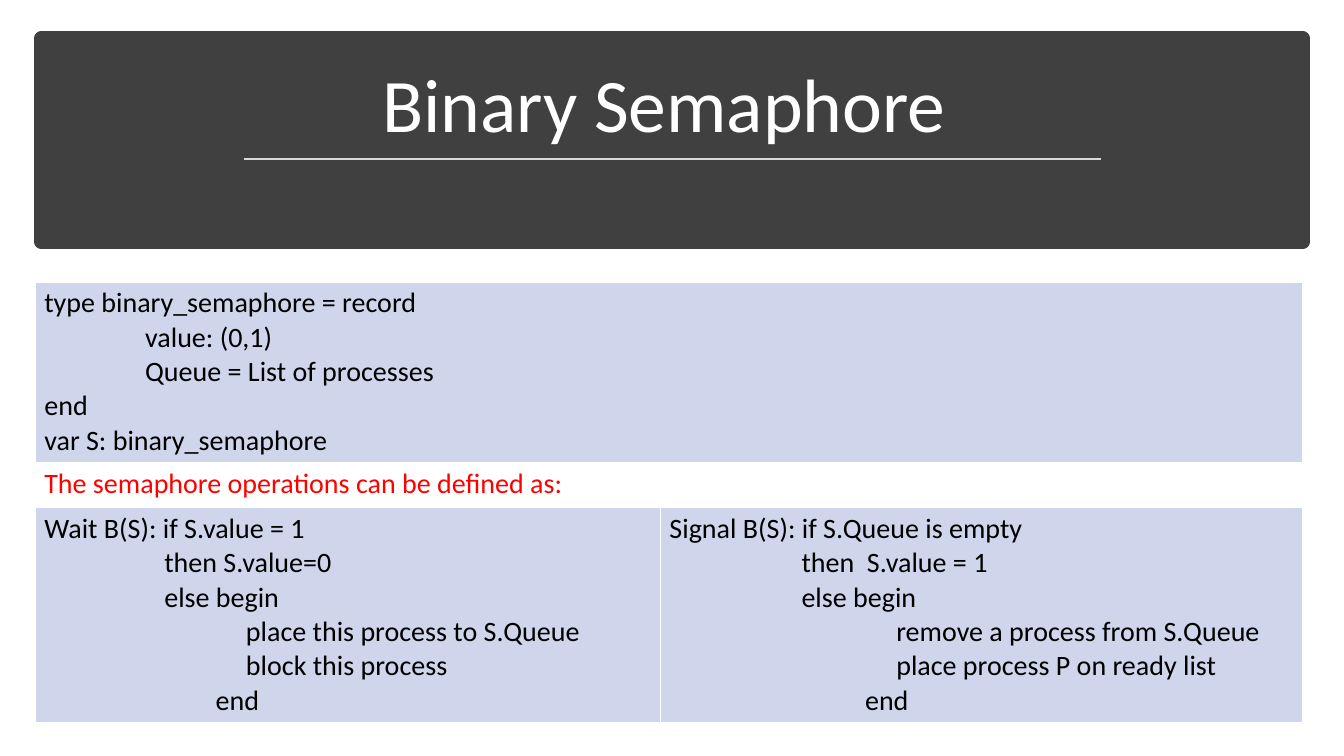
from lxml.etree import SubElement
from pptx import Presentation
from pptx.dml.color import RGBColor
from pptx.enum.shapes import MSO_CONNECTOR, MSO_SHAPE
from pptx.enum.text import MSO_ANCHOR, PP_ALIGN
from pptx.oxml.ns import qn
from pptx.util import Emu, Inches, Pt

COLORS = {"band": "404040", "rule": "D9D9D9", "white": "FFFFFF",
          "code": "CFD5EA", "black": "000000", "red": "FF0000"}
FONT = "Calibri"

RECORD = [(0, "type binary_semaphore = record"),
          (1, "value: (0,1)"),
          (1, "Queue = List of processes"),
          (0, "end"),
          (0, "var S: binary_semaphore")]
INTRO = [(0, "The semaphore operations can be defined as:")]
WAIT = [(0, "Wait B(S): if S.value = 1"),
        (1.19, "then S.value=0"),
        (1.19, "else begin"),
        (2, "place this process to S.Queue"),
        (2, "block this process"),
        (1.7, "end")]
SIGNAL = [(0, "Signal B(S): if S.Queue is empty"),
          (1.31, "then  S.value = 1"),
          (1.31, "else begin"),
          (2.25, "remove a process from S.Queue"),
          (2.25, "place process P on ready list"),
          (1.94, "end")]


def color(name):
    return RGBColor.from_string(COLORS[name])


def add_run(paragraph, text, size, tint):
    run = paragraph.add_run()
    run.text = text
    run.font.name = FONT
    run.font.size = Pt(size)
    run.font.color.rgb = color(tint)


def add_header(slide, left, top, width, height):
    band = slide.shapes.add_shape(MSO_SHAPE.RECTANGLE, Inches(left), Inches(top),
                                  Inches(width), Inches(height))
    band.shadow.inherit = False
    band.fill.solid()
    band.fill.fore_color.rgb = color("band")
    band.line.color.rgb = color("band")
    band.line.width = Pt(10)

    title = slide.shapes.title
    title.element.addprevious(band.element)
    title.left, title.top = Inches(left + 0.17), Inches(top + 0.13)
    title.width, title.height = Inches(width - 0.33), Inches(1.02)
    frame = title.text_frame
    frame.word_wrap = True
    frame.vertical_anchor = MSO_ANCHOR.BOTTOM
    heading = frame.paragraphs[0]
    heading.alignment = PP_ALIGN.CENTER
    heading.line_spacing = 0.9
    add_run(heading, "Binary Semaphore ", 54, "white")

    rule_y = Inches(top + 1.2)
    rule = slide.shapes.add_connector(MSO_CONNECTOR.STRAIGHT, Inches(left + 2.01), rule_y,
                                      Inches(left + width - 2), rule_y)
    rule.line.color.rgb = color("rule")
    rule.line.width = Pt(1.75)
    SubElement(rule.element.spPr, qn("a:effectLst"))


def add_borders(cell, bottom):
    properties = cell._tc.get_or_add_tcPr()
    for side, points in (("L", 1), ("R", 1), ("T", 1), ("B", bottom)):
        border = SubElement(properties, qn(f"a:ln{side}"), w=str(Pt(points)))
        fill = SubElement(border, qn("a:solidFill"))
        SubElement(fill, qn("a:srgbClr"), val=COLORS["white"])


def fill_cell(cell, lines, tint, background, anchor):
    cell.margin_left = cell.margin_right = Inches(0.09)
    cell.margin_top = cell.margin_bottom = Inches(0.04)
    cell.vertical_anchor = anchor
    if background:
        cell.fill.solid()
        cell.fill.fore_color.rgb = color(background)
    else:
        cell.fill.background()
    for number, (indent, text) in enumerate(lines):
        frame = cell.text_frame
        paragraph = frame.add_paragraph() if number else frame.paragraphs[0]
        paragraph._p.get_or_add_pPr().set("marL", str(Inches(indent)))
        add_run(paragraph, text, 20, tint)


def add_definitions(slide, left, top, width, height):
    columns, rows = (6.2, width - 6.2), (0.26, 1.8, 0.44, height - 2.5)
    table = slide.shapes.add_table(len(rows), len(columns), Inches(left), Inches(top),
                                   Inches(width), Inches(height)).table
    table.first_row = table.horz_banding = False
    for column, column_width in zip(table.columns, columns):
        column.width = Inches(column_width)
    for number, (row, row_height) in enumerate(zip(table.rows, rows)):
        row.height = Inches(row_height)
        for cell in row.cells:
            add_borders(cell, 1 if number else 3)
        if number < 3:
            table.cell(number, 0).merge(table.cell(number, 1))

    middle = MSO_ANCHOR.MIDDLE
    fill_cell(table.cell(0, 0), [], "black", "white", MSO_ANCHOR.TOP)
    for spacer in table.rows[0].cells:
        spacer.margin_top = spacer.margin_bottom = Emu(0)
        SubElement(spacer.text_frame.paragraphs[0]._p, qn("a:endParaRPr"), sz="1000")
    fill_cell(table.cell(1, 0), RECORD, "black", "code", middle)
    fill_cell(table.cell(2, 0), INTRO, "red", None, MSO_ANCHOR.TOP)
    fill_cell(table.cell(3, 0), WAIT, "black", "code", middle)
    fill_cell(table.cell(3, 1), SIGNAL, "black", "code", middle)


def main():
    deck = Presentation()
    deck.slide_width, deck.slide_height = Inches(13.33), Inches(7.5)
    slide = deck.slides.add_slide(deck.slide_layouts[5])
    add_header(slide, 0.41, 0.38, 12.51, 2.02)
    add_definitions(slide, 0.35, 2.53, 12.57, 4.64)
    deck.save("out.pptx")


if __name__ == "__main__":
    main()
